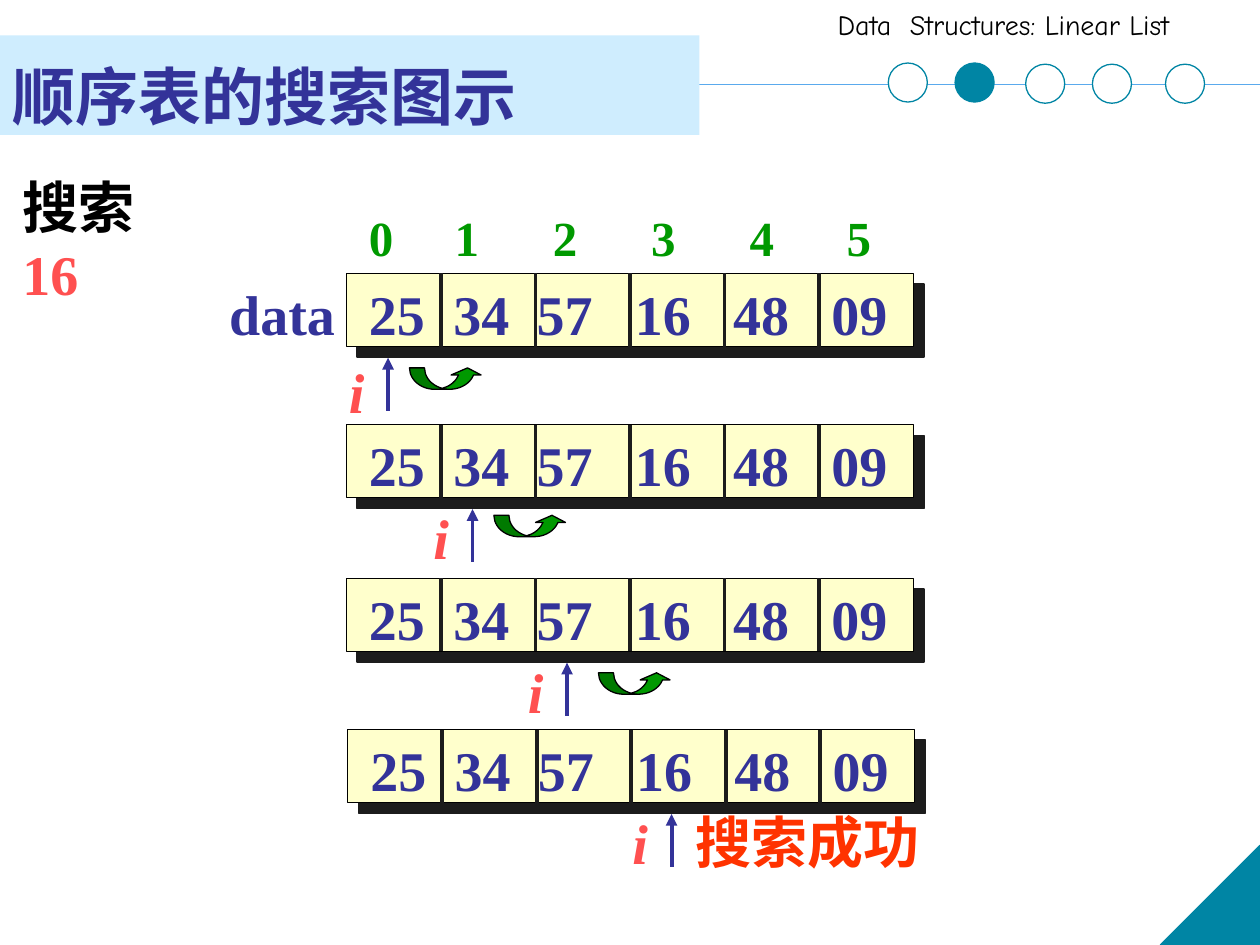
from lxml import etree
from pptx import Presentation, util as u
from pptx.dml.color import RGBColor
from pptx.enum import shapes, text
from pptx.oxml import ns

PX = 9144  # 100 px to the inch
COLORS = {
    "navy": "333399", "green": "009900", "red": "FF5050", "orange": "FF3300",
    "teal": "0085A4", "sky": "5AAAED", "pale": "CFEDFE", "cream": "FFFFCC",
    "ink": "1C1C1C", "black": "000000", "white": "FFFFFF",
}
SERIF, HAN = "Times New Roman", "Noto Sans CJK SC"
VALUES = ["25", "34", "57", "16", "48", "09"]
CELL, ROW_HEIGHT = 75, 58


def px(*lengths):
    return [u.Emu(length * PX) for length in lengths]


def color(name):
    return RGBColor.from_string(COLORS[name])


def add_xml(parent, tag, **attributes):
    return etree.SubElement(parent, ns.qn(tag), attributes)


def add_text(page, box, spans, size, font=SERIF, wrap=False, tabs=(), right=10,
             anchor=text.MSO_ANCHOR.TOP, **extra):
    """Place one paragraph; spans is a list of (words, colour name)."""
    frame = page.shapes.add_textbox(*px(*box)).text_frame
    settings = {"word_wrap": wrap, "vertical_anchor": anchor,
                "margin_right": px(right)[0]}
    for name, value in settings.items():
        setattr(frame, name, value)
    para = frame.paragraphs[0]
    if tabs:
        stops = add_xml(para._p.get_or_add_pPr(), "a:tabLst")
        for stop in tabs:
            add_xml(stops, "a:tab", pos=str(stop * PX), algn="l")
    for words, tint in spans:
        span = para.add_run()
        span.text = words
        style = {"name": font, "size": u.Pt(size), "bold": True, **extra}
        for name, value in style.items():
            setattr(span.font, name, value)
        span.font.color.rgb = color(tint)
        add_xml(span._r.get_or_add_rPr(), "a:ea", typeface=HAN)


def add_shape(page, kind, box, fill, line=None):
    shape = page.shapes.add_shape(kind, *px(*box))
    shape.shadow.inherit = False
    shape.fill.solid()
    shape.fill.fore_color.rgb = color(fill)
    if line:
        shape.line.color.rgb = color(line)
        shape.line.width = u.Pt(0.75)
    else:
        shape.line.fill.background()
    return shape


def add_line(page, ends, tint, width, arrow=False):
    line = page.shapes.add_connector(shapes.MSO_CONNECTOR.STRAIGHT, *px(*ends))
    line.line.color.rgb = color(tint)
    line.line.width = u.Pt(width)
    if arrow:
        add_xml(line.line._get_or_add_ln(), "a:tailEnd", type="triangle")
    add_xml(line._element.spPr, "a:effectLst")


def add_header(page, width):
    kind = shapes.MSO_SHAPE
    add_line(page, (0, 67, width, 67), "sky", 1)
    add_text(page, (655, 1, 345, 37), [("Data  Structures: Linear List", "black")],
             16, "Comic Neue", wrap=True, bold=False)
    add_shape(page, kind.RECTANGLE, (0, 28, 555, 79), "pale")
    add_text(page, (0, 28, 467, 83), [("顺序表的搜索图示", "navy")], 36, HAN,
             wrap=True, anchor=text.MSO_ANCHOR.BOTTOM)
    # Progress dots, the second one current
    dots = [(705, 50), (758, 50), (814, 51), (867, 51), (925, 51)]
    for number, (left, top) in enumerate(dots):
        add_shape(page, kind.OVAL, (left, top, 31, 31),
                  "teal" if number == 1 else "white", "teal")


def add_corner(page, width, height, side=79):
    corner = add_shape(page, shapes.MSO_SHAPE.RIGHT_TRIANGLE,
                       (width - side, height - side, side, side), "teal", "teal")
    corner._element.spPr.xfrm.set("flipH", "1")


def add_array(page, left, top):
    """Draw the shadowed bar, its values and its cell dividers."""
    bar = add_shape(page, shapes.MSO_SHAPE.RECTANGLE,
                    (left, top, CELL * len(VALUES), ROW_HEIGHT), "cream", "black")
    effects = bar._element.spPr.find(ns.qn("a:effectLst"))
    shadow = add_xml(effects, "a:outerShdw", dist=str(u.Pt(8.5)),
                     dir=str(45 * 60000), algn="ctr", rotWithShape="0")
    add_xml(shadow, "a:srgbClr", val=COLORS["ink"])
    add_text(page, (left + 8, top, 449, 63), [("\t".join(VALUES), "navy")], 32,
             wrap=True, tabs=(67, 133, 211, 289, 367))
    for cell in range(1, len(VALUES)):
        x = left + cell * CELL
        add_line(page, (x, top, x, top + ROW_HEIGHT), "ink", 2.25)


def add_pointer(page, x, top, label_drop):
    """Draw the arrow up to the current cell with its label i."""
    add_line(page, (x, top + 109, x, top + 67), "navy", 2.25, arrow=True)
    add_text(page, (x - 41, top + label_drop, 32, 63), [("i", "red")], 32,
             italic=True)


def add_hop(page, left, top):
    hop = add_shape(page, shapes.MSO_SHAPE.CURVED_UP_ARROW, (left, top, 58, 17),
                    "green", "black")
    for number, value in enumerate((0.7, 1.4, 0.333)):
        hop.adjustments[number] = value


def add_search(page, left, top):
    # Labels around the first array
    indices = "\t".join(str(number) for number in range(len(VALUES)))
    add_text(page, (left + 8, top - 57, 492, 57), [(indices, "green")], 28,
             wrap=True, tabs=(68, 146, 224, 302, 379))
    add_text(page, (left - 103, top, 105, 64), [("data", "navy")], 32)
    add_text(page, (left - 267, top - 85, 166, 64),
             [("搜索 ", "black"), ("16", "red")], 32, wrap=True, right=40)
    # Steps: array shift, array drop, pointer x, label drop, hop offset
    steps = [
        (0, 0, 33, 62, (50, 75)),
        (0, 120, 100, 58, (117, 72)),
        (0, 242, 175, 58, (200, 75)),
        (1, 362, 258, 58, None),
    ]
    for shift, drop, pointer, label_drop, hop in steps:
        add_array(page, left + shift, top + drop)
        add_pointer(page, left + pointer, top + drop, label_drop)
        if hop:
            add_hop(page, left + hop[0], top + drop + hop[1])
    # Result
    add_text(page, (left + 267, top + 419, 200, 64), [("搜索成功", "orange")], 32, HAN)


def main():
    width, height = 1000, 750
    deck = Presentation()
    deck.slide_width, deck.slide_height = px(width, height)
    page = deck.slides.add_slide(deck.slide_layouts[6])
    add_header(page, width)
    add_corner(page, width, height)
    add_search(page, 275, 217)
    deck.save("out.pptx")


if __name__ == "__main__":
    main()
